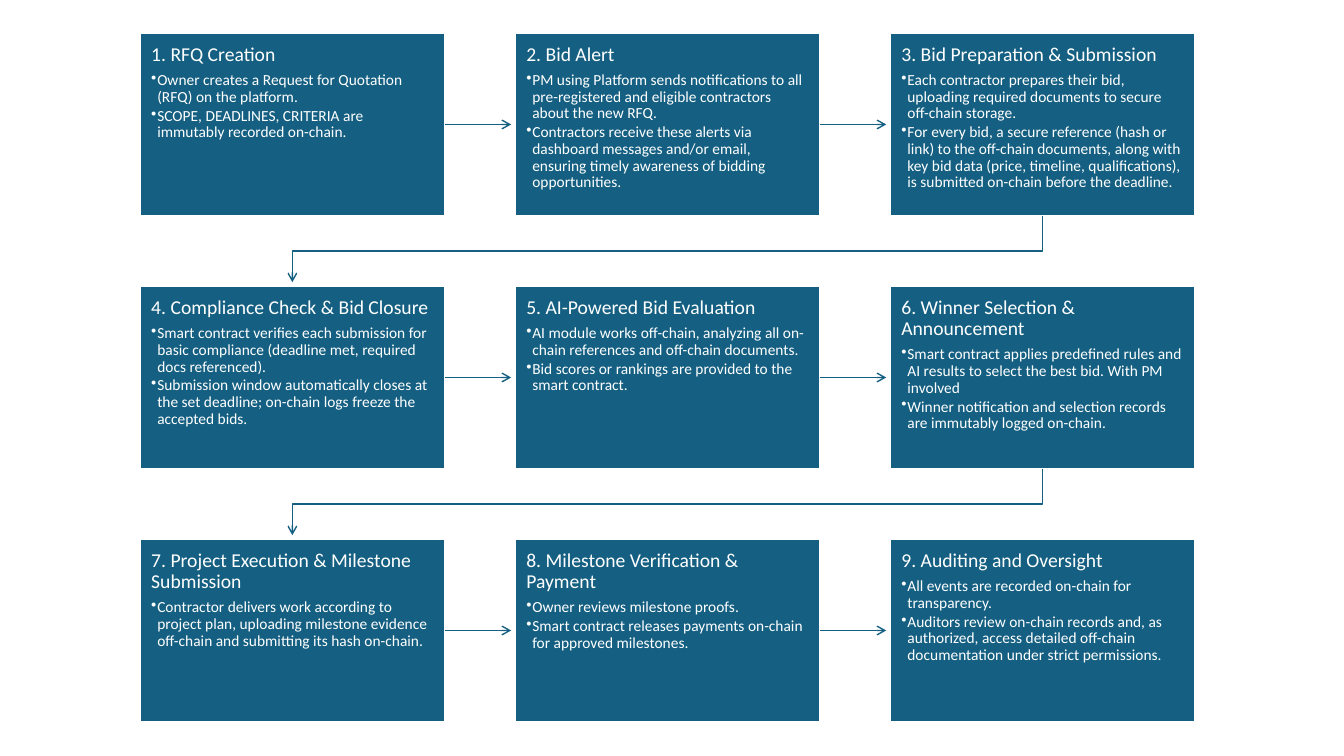
from dataclasses import dataclass

from lxml.etree import SubElement
from pptx import Presentation
from pptx.dml.color import RGBColor
from pptx.enum.shapes import MSO_CONNECTOR as Connector, MSO_SHAPE as Preset
from pptx.enum.text import MSO_ANCHOR as Anchor, PP_ALIGN as Align
from pptx.oxml.ns import qn
from pptx.shapes.autoshape import Shape
from pptx.slide import Slide
from pptx.util import Inches, Pt

BLUE = RGBColor(0x15, 0x60, 0x82)
WHITE = RGBColor(0xFF, 0xFF, 0xFF)

# Grid of three steps per row
COLUMNS = 3
LEFT, TOP = 1.39, 0.33
WIDTH, HEIGHT = 3.02, 1.81
COLUMN_PITCH, ROW_PITCH = 3.72, 2.51
ARROW_LENGTH = 0.66
TURN_DROP = 0.35

FRAME_FORMAT = {
    "word_wrap": True,
    "vertical_anchor": Anchor.TOP,
    "margin_left": Inches(0.11),
    "margin_top": Inches(0.11),
    "margin_right": Inches(0.11),
    "margin_bottom": Inches(0.11),
}
TITLE_FORMAT = {"alignment": Align.LEFT, "line_spacing": 0.9, "space_after": Pt(4.9)}
BULLET_FORMAT = {"alignment": Align.LEFT, "line_spacing": 0.9, "space_after": Pt(1.65), "level": 1}
TITLE_FONT = {"name": "Calibri", "size": Pt(14)}
BULLET_FONT = {"name": "Calibri", "size": Pt(11)}


@dataclass(frozen=True)
class Step:
    title: str
    bullets: tuple[str, ...]


STEPS = (
    Step("RFQ Creation", (
        "Owner creates a Request for Quotation (RFQ) on the platform.",
        "SCOPE, DEADLINES, CRITERIA are immutably recorded on-chain.",
    )),
    Step("Bid Alert", (
        "PM using Platform sends notifications to all pre-registered and eligible contractors "
        "about the new RFQ.",
        "Contractors receive these alerts via dashboard messages and/or email, ensuring timely "
        "awareness of bidding opportunities.",
    )),
    Step("Bid Preparation & Submission", (
        "Each contractor prepares their bid, uploading required documents to secure off-chain storage.",
        "For every bid, a secure reference (hash or link) to the off-chain documents, along with key "
        "bid data (price, timeline, qualifications), is submitted on-chain before the deadline.",
    )),
    Step("Compliance Check & Bid Closure", (
        "Smart contract verifies each submission for basic compliance (deadline met, required "
        "docs referenced).",
        "Submission window automatically closes at the set deadline; on-chain logs freeze the "
        "accepted bids.",
    )),
    Step("AI-Powered Bid Evaluation", (
        "AI module works off-chain, analyzing all on-chain references and off-chain documents.",
        "Bid scores or rankings are provided to the smart contract.",
    )),
    Step("Winner Selection & Announcement", (
        "Smart contract applies predefined rules and AI results to select the best bid. With PM involved",
        "Winner notification and selection records are immutably logged on-chain.",
    )),
    Step("Project Execution & Milestone Submission", (
        "Contractor delivers work according to project plan, uploading milestone evidence off-chain "
        "and submitting its hash on-chain.",
    )),
    Step("Milestone Verification & Payment", (
        "Owner reviews milestone proofs.",
        "Smart contract releases payments on-chain for approved milestones.",
    )),
    Step("Auditing and Oversight", (
        "All events are recorded on-chain for transparency.",
        "Auditors review on-chain records and, as authorized, access detailed off-chain "
        "documentation under strict permissions.",
    )),
)


def apply_format(target: object, values: dict) -> None:
    for name, value in values.items():
        setattr(target, name, value)


def write_paragraph(paragraph, text: str, layout: dict, font: dict) -> None:
    apply_format(paragraph, layout)
    run = paragraph.add_run()
    run.text = text
    apply_format(run.font, font)
    run.font.color.rgb = WHITE


def add_bullet(paragraph) -> None:
    properties = paragraph._p.get_or_add_pPr()
    properties.set("marL", str(Inches(0.06)))
    properties.set("indent", str(Inches(-0.06)))
    SubElement(properties, qn("a:buChar"), char="•")


def add_step(slide: Slide, step: Step, number: int, left: float, top: float) -> Shape:
    box = slide.shapes.add_shape(
        Preset.RECTANGLE, Inches(left), Inches(top), Inches(WIDTH), Inches(HEIGHT))
    box.shadow.inherit = False
    box.fill.solid()
    box.fill.fore_color.rgb = BLUE
    box.line.color.rgb = WHITE
    box.line.width = Pt(1.5)
    frame = box.text_frame
    apply_format(frame, FRAME_FORMAT)
    write_paragraph(frame.paragraphs[0], f"{number}. {step.title}", TITLE_FORMAT, TITLE_FONT)
    for text in step.bullets:
        paragraph = frame.add_paragraph()
        write_paragraph(paragraph, text, BULLET_FORMAT, BULLET_FONT)
        add_bullet(paragraph)
    return box


def style_arrow(arrow) -> None:
    arrow.line.color.rgb = BLUE
    arrow.line.width = Pt(1)
    SubElement(arrow.line._get_or_add_ln(), qn("a:tailEnd"), type="arrow")
    SubElement(arrow._element.spPr, qn("a:effectLst"))


def add_straight_arrow(slide: Slide, box: Shape, left: float, top: float) -> None:
    start, middle = left + WIDTH, Inches(top + HEIGHT / 2)
    arrow = slide.shapes.add_connector(
        Connector.STRAIGHT, Inches(start), middle, Inches(start + ARROW_LENGTH), middle)
    arrow.begin_connect(box, 3)
    style_arrow(arrow)


def add_row_turn(slide: Slide, left: float, top: float) -> None:
    start_x, end_x = left + WIDTH / 2, LEFT + WIDTH / 2
    start_y = top + HEIGHT
    turn_y, end_y = start_y + TURN_DROP, start_y + ARROW_LENGTH
    builder = slide.shapes.build_freeform(Inches(start_x), Inches(start_y))
    corners = ((start_x, turn_y), (end_x, turn_y), (end_x, end_y))
    builder.add_line_segments([(Inches(x), Inches(y)) for x, y in corners], close=False)
    arrow = builder.convert_to_shape()
    arrow.fill.background()
    style_arrow(arrow)


def main() -> None:
    presentation = Presentation()
    presentation.slide_width = Inches(13.33)
    presentation.slide_height = Inches(7.5)
    slide = presentation.slides.add_slide(presentation.slide_layouts[6])

    # Steps, each with the arrow to the next one
    for index, step in enumerate(STEPS):
        row, column = divmod(index, COLUMNS)
        left, top = LEFT + column * COLUMN_PITCH, TOP + row * ROW_PITCH
        box = add_step(slide, step, index + 1, left, top)
        if column < COLUMNS - 1:
            add_straight_arrow(slide, box, left, top)
        elif index < len(STEPS) - 1:
            add_row_turn(slide, left, top)

    presentation.save("out.pptx")


if __name__ == "__main__":
    main()
